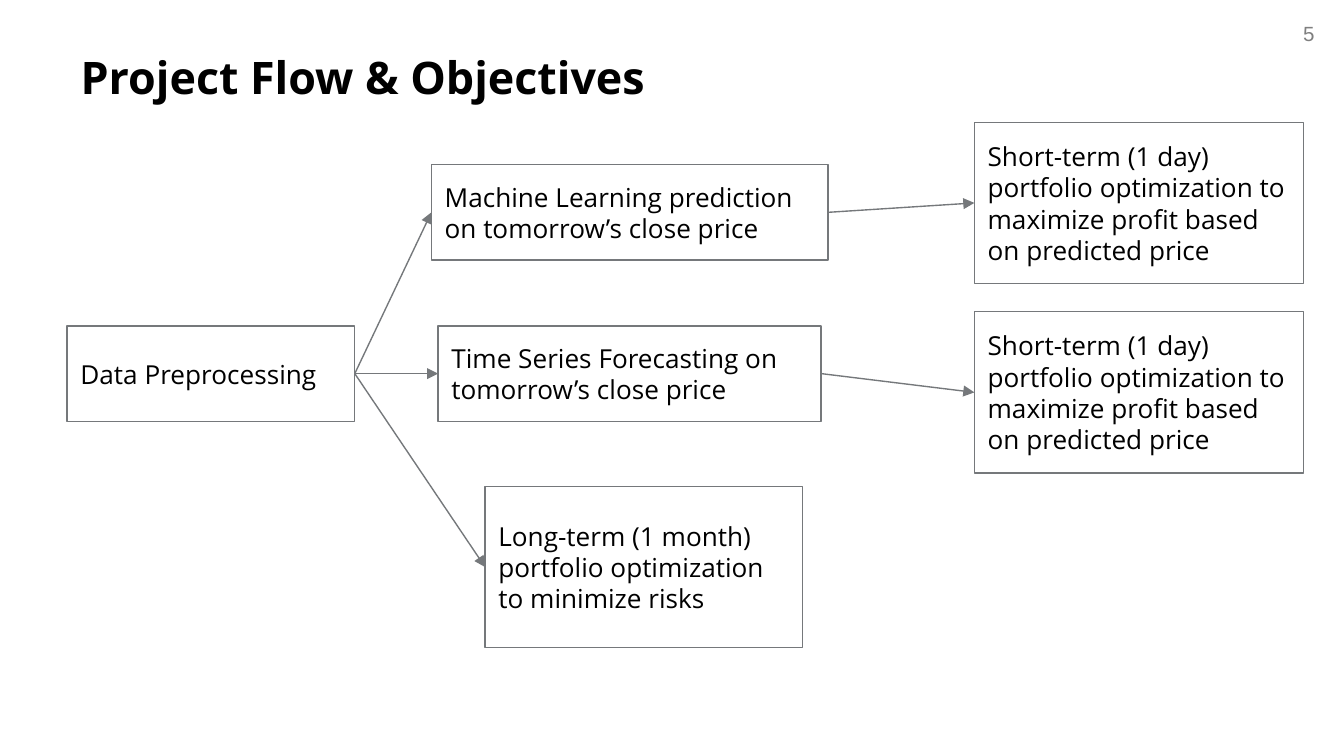
from lxml import etree
from pptx import Presentation
from pptx.dml.color import RGBColor
from pptx.enum.shapes import MSO_CONNECTOR, MSO_SHAPE
from pptx.enum.text import MSO_ANCHOR, MSO_AUTO_SIZE, PP_ALIGN
from pptx.oxml.ns import qn
from pptx.util import Inches, Pt

BLACK = RGBColor(0x00, 0x00, 0x00)
WHITE = RGBColor(0xFF, 0xFF, 0xFF)
GREY = RGBColor(0x75, 0x78, 0x7B)
PALE = RGBColor(0x7F, 0x7F, 0x7F)

RECT = MSO_SHAPE.RECTANGLE
STRAIGHT = MSO_CONNECTOR.STRAIGHT
TOP, MIDDLE = MSO_ANCHOR.TOP, MSO_ANCHOR.MIDDLE
LEFT, RIGHT = PP_ALIGN.LEFT, PP_ALIGN.RIGHT
LEFT_SIDE, RIGHT_SIDE = 1, 3

LINE = Pt(0.75)
LOW, TALL = 0.71, 1.2
SHORT = ("Short-term (1 day) portfolio optimization to "
         "maximize profit based on predicted price")


def write(shape, text, size=14, font="Open Sans", color=BLACK, bold=False,
          align=LEFT, anchor=TOP, pad=0.05):
    frame = shape.text_frame
    frame.word_wrap = True
    frame.auto_size = MSO_AUTO_SIZE.NONE
    frame.vertical_anchor = anchor
    frame.margin_left = frame.margin_right = Inches(0.1)
    frame.margin_top = frame.margin_bottom = Inches(pad)
    para = frame.paragraphs[0]
    para.alignment = align
    run = para.add_run()
    run.text = text
    run.font.size = Pt(size)
    run.font.name = font
    run.font.bold = bold
    run.font.color.rgb = color


def add_head(slide, left, top, width, height):
    title = slide.shapes.title
    title.left, title.top = Inches(left), Inches(top)
    title.width, title.height = Inches(width), Inches(height)
    write(title, "Project Flow & Objectives", size=24, bold=True)


def add_page(slide, left, top, width, height):
    page = slide.shapes.add_textbox(
        Inches(left), Inches(top), Inches(width), Inches(height))
    write(page, "5", size=11, font="Arial", color=PALE, align=RIGHT)


def add_step(slide, text, left, mid, width, height):
    """Add a framed step whose vertical centre is at mid."""
    step = slide.shapes.add_shape(
        RECT, Inches(left), Inches(mid - height / 2),
        Inches(width), Inches(height))
    step.shadow.inherit = False
    step.fill.solid()
    step.fill.fore_color.rgb = WHITE
    step.line.color.rgb = GREY
    step.line.width = LINE
    write(step, text, anchor=MIDDLE, pad=0.1)
    return step


def add_arrow(slide, start, end):
    arrow = slide.shapes.add_connector(STRAIGHT, 0, 0, 0, 0)
    arrow.begin_connect(start, RIGHT_SIDE)
    arrow.end_connect(end, LEFT_SIDE)
    arrow.line.color.rgb = GREY
    arrow.line.width = LINE
    etree.SubElement(arrow.line._get_or_add_ln(), qn("a:tailEnd"),
                     type="triangle")
    etree.SubElement(arrow._element.spPr, qn("a:effectLst"))


def add_flow(slide, left, top):
    """Draw the steps in three columns, then the arrows between them."""
    upper, centre, lower = top + 0.67, top + 1.87, top + 3.31
    data = add_step(slide, "Data Preprocessing", left, centre, 2.14, LOW)
    learn = add_step(
        slide, "Machine Learning prediction on tomorrow’s close price",
        left + 2.71, upper, 2.95, LOW)
    series = add_step(
        slide, "Time Series Forecasting on tomorrow’s close price",
        left + 2.76, centre, 2.85, LOW)
    risk = add_step(
        slide, "Long-term (1 month) portfolio optimization to minimize risks",
        left + 3.11, lower, 2.36, TALL)
    goals = [add_step(slide, SHORT, left + 6.75, top + 0.6 + 1.41 * row,
                      2.45, TALL) for row in range(2)]
    pairs = [(data, learn), (data, series), (data, risk),
             (learn, goals[0]), (series, goals[1])]
    for start, end in pairs:
        add_arrow(slide, start, end)


def main():
    deck = Presentation()
    deck.slide_width = Inches(10)
    deck.slide_height = deck.slide_width * 9 // 16
    slide = deck.slides.add_slide(deck.slide_layouts[5])
    add_page(slide, 9.33, 0.11, 0.55, 0.29)
    add_head(slide, 0.5, 0.32, 5.67, 0.58)
    add_flow(slide, 0.5, 0.91)
    deck.save("out.pptx")


if __name__ == "__main__":
    main()
